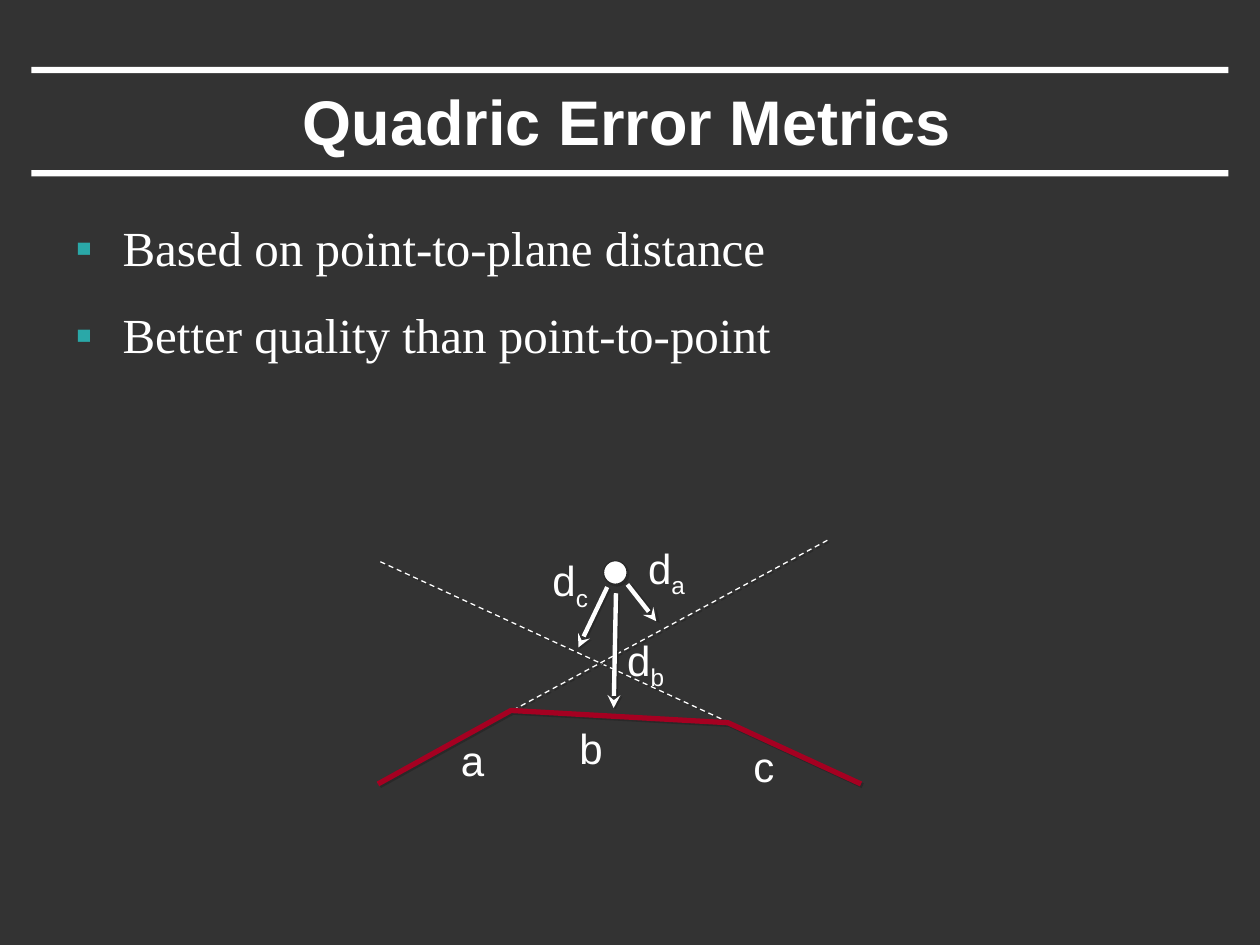
from pptx import Presentation
from pptx.dml.color import RGBColor
from pptx.enum.dml import MSO_LINE_DASH_STYLE as Dash
from pptx.enum.shapes import MSO_CONNECTOR as Conn, MSO_SHAPE as Shape
from pptx.enum.text import MSO_ANCHOR as Anchor, PP_ALIGN as Align
from pptx.oxml import parse_xml
from pptx.oxml.ns import nsdecls
from pptx.util import Pt

WHITE = RGBColor(0xFF, 0xFF, 0xFF)
DARK = RGBColor(0x33, 0x33, 0x33)
SHADE = RGBColor(0x29, 0x29, 0x29)
RED = RGBColor(0xA5, 0x00, 0x21)
TEAL = RGBColor(0x2A, 0xA8, 0xA8)

# Corners of the surface a, b, c
MESH = [(216, 447.5), (291.6, 406.4), (416.2, 413), (491.8, 447.5)]


def node(tag, attrs="", inner=""):
    return parse_xml(f'<a:{tag} {nsdecls("a")} {attrs}>{inner}</a:{tag}>')


def shade(shape, dist=1.4, angle=45):
    props = shape._element.spPr
    for old in props.findall(node("effectLst").tag):
        props.remove(old)
    props.append(node("effectLst", inner=(
        f'<a:outerShdw dist="{Pt(dist)}" dir="{angle * 60000}" algn="ctr" '
        f'rotWithShape="0"><a:srgbClr val="{SHADE}"/></a:outerShdw>')))


def write(slide, x, y, w, h, paras, size=24, font="Arial", bold=False,
          align=Align.CENTER, anchor=Anchor.MIDDLE, wrap=False,
          bullet=None, gap=0):
    """Each paragraph is a list of strings: the text, then any subscript."""
    frame = slide.shapes.add_textbox(Pt(x), Pt(y), Pt(w), Pt(h)).text_frame
    frame.word_wrap, frame.vertical_anchor = wrap, anchor
    for i, parts in enumerate(paras):
        para = frame.add_paragraph() if i else frame.paragraphs[0]
        para.alignment = align
        if i:
            para.space_before = Pt(gap)
        if bullet:
            props = para._p.get_or_add_pPr()
            props.set("marL", str(Pt(27)))
            props.set("indent", str(Pt(-27)))
            props.append(node("buClr", inner=f'<a:srgbClr val="{TEAL}"/>'))
            props.append(node("buFont", 'typeface="Arial"'))
            props.append(node("buChar", f'char="{bullet}"'))
        for j, part in enumerate(parts):
            run = para.add_run()
            run.text = part
            run.font.size, run.font.name = Pt(size), font
            run.font.bold, run.font.color.rgb = bold, WHITE
            if j:
                run._r.get_or_add_rPr().set("baseline", "-25000")


def solid(slide, kind, x, y, w, h):
    shape = slide.shapes.add_shape(kind, Pt(x), Pt(y), Pt(w), Pt(h))
    shape.shadow.inherit = False
    shape.fill.solid()
    shape.fill.fore_color.rgb = WHITE
    shape.line.fill.background()
    return shape


def stroke(slide, start, end, width, dash=None, head=None, **shadow):
    ends = [Pt(v) for v in (*start, *end)]
    line = slide.shapes.add_connector(Conn.STRAIGHT, *ends)
    line.line.color.rgb, line.line.width = WHITE, Pt(width)
    if dash:
        line.line.dash_style = dash
    if head:
        line.line._get_or_add_ln().append(node("tailEnd", f'type="{head}"'))
    shade(line, **shadow)


def surface(slide):
    build = slide.shapes.build_freeform(*MESH[0], scale=Pt(1))
    build.add_line_segments(MESH[1:], close=False)
    shape = build.convert_to_shape()
    shape.fill.background()
    shape.line.color.rgb, shape.line.width = RED, Pt(3)
    shade(shape)


def main():
    deck = Presentation()
    deck.slide_width, deck.slide_height = Pt(720), Pt(540)
    slide = deck.slides.add_slide(deck.slide_layouts[6])
    slide.background.fill.solid()
    slide.background.fill.fore_color.rgb = DARK

    # Title between two bars
    for y in (97.2, 38.2):
        solid(slide, Shape.RECTANGLE, 18, y, 684, 3.6)
    write(slide, 53.3, 41.8, 609.8, 54, [["Quadric Error Metrics"]],
          size=36, bold=True, wrap=True)

    # Bullets
    write(slide, 36, 121, 648, 396,
          [["Based on point-to-plane distance"],
           ["Better quality than point-to-point"]],
          size=28, font="Times New Roman", align=Align.LEFT,
          anchor=Anchor.TOP, wrap=True, bullet="▪", gap=16)

    # Planes of a and c, then the surface
    for start, end in ((MESH[3], (216, 320.4)), (MESH[0], (473.8, 308.2))):
        stroke(slide, start, end, 0.75, dash=Dash.DASH)
    surface(slide)

    # Point and its distances to the planes
    dot = solid(slide, Shape.OVAL, 344.9, 320.4, 13.5, 13.5)
    dot.line.color.rgb, dot.line.width = SHADE, Pt(0.75)
    shade(dot)
    stroke(slide, (352, 339), (350.7, 404.6), 2.5, head="stealth")
    stroke(slide, (347, 335.5), (330.5, 370), 2.5, head="stealth")
    stroke(slide, (358.5, 334), (375, 355), 2.5, head="stealth",
           dist=2.2, angle=27)

    # Labels
    for x, y, w, parts in ((256.3, 416.2, 26, ["a"]),
                           (324, 409, 27, ["b"]),
                           (423.4, 419.8, 26, ["c"]),
                           (362.9, 308.2, 36, ["d", "a"]),
                           (350.6, 360.7, 36.7, ["d", "b"]),
                           (308.2, 315.4, 35.3, ["d", "c"])):
        write(slide, x, y, w, 36, [parts])

    deck.save("out.pptx")


if __name__ == "__main__":
    main()
